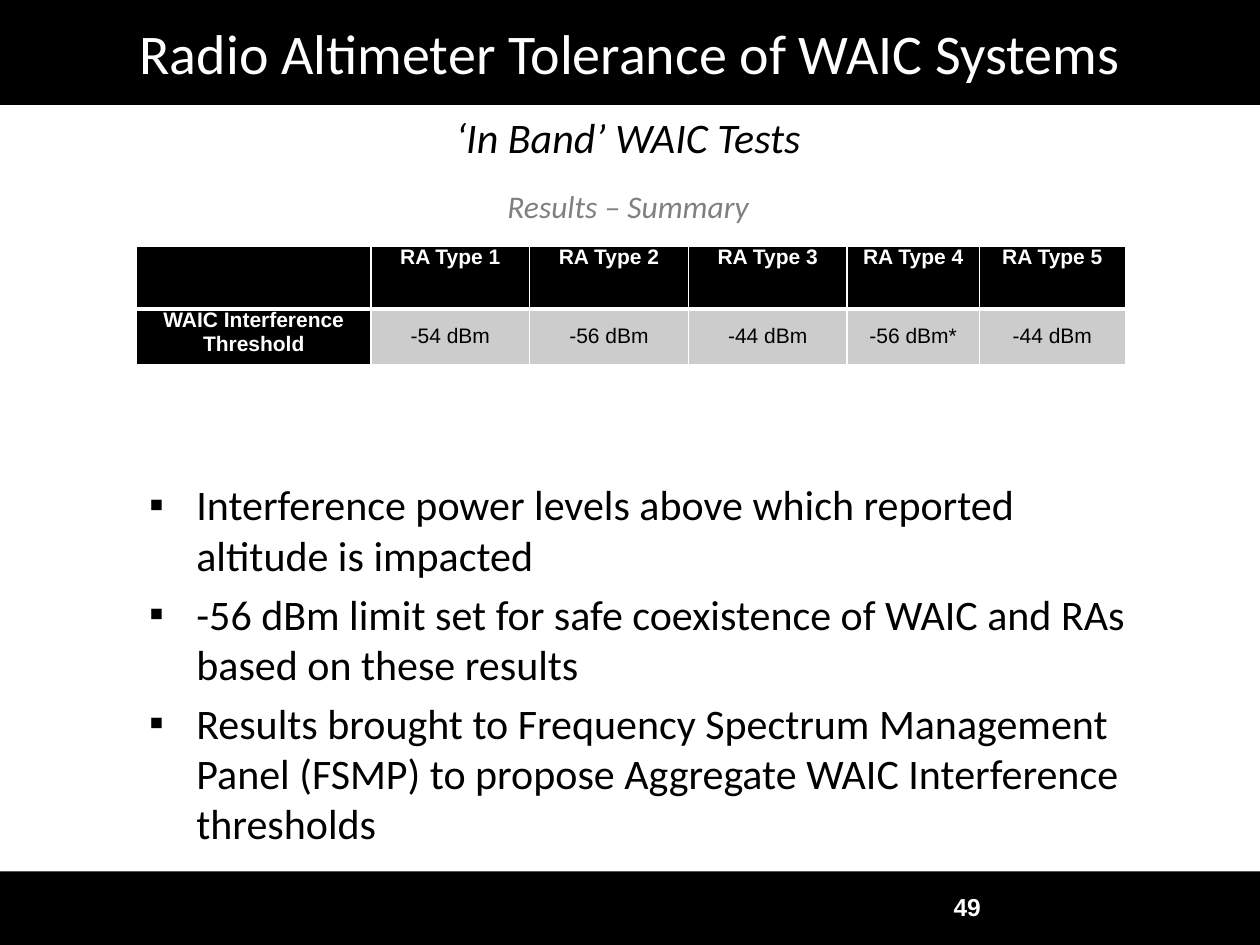
from lxml import etree
from pptx import Presentation
from pptx.dml.color import RGBColor
from pptx.enum.shapes import MSO_SHAPE
from pptx.enum.text import MSO_ANCHOR, MSO_AUTO_SIZE, PP_ALIGN
from pptx.oxml.ns import qn
from pptx.util import Pt

BLACK = RGBColor(0x00, 0x00, 0x00)
WHITE = RGBColor(0xFF, 0xFF, 0xFF)
GRAY = RGBColor(0x80, 0x80, 0x80)
LIGHT_GRAY = RGBColor(0xCC, 0xCC, 0xCC)

CENTER, LEFT, RIGHT = PP_ALIGN.CENTER, PP_ALIGN.LEFT, PP_ALIGN.RIGHT
TOP, MIDDLE = MSO_ANCHOR.TOP, MSO_ANCHOR.MIDDLE
NO_FIT = MSO_AUTO_SIZE.NONE
RECTANGLE = MSO_SHAPE.RECTANGLE

COMPARISON_LAYOUT = 4
PAGE_WIDTH, PAGE_HEIGHT = 720, 540
COLUMN_WIDTHS = [134, 90.7, 90.7, 90.7, 75.6, 83.5]
ROW_HEIGHTS = [36, 31.7]
THRESHOLDS = [
    ["", "RA Type 1", "RA Type 2", "RA Type 3", "RA Type 4", "RA Type 5"],
    ["WAIC Interference Threshold", "-54 dBm", "-56 dBm", "-44 dBm", "-56 dBm*", "-44 dBm"],
]
FINDINGS = [
    "Interference power levels above which reported altitude is impacted",
    "-56 dBm limit set for safe coexistence of WAIC and RAs based on these results",
    "Results brought to Frequency Spectrum Management Panel (FSMP) to propose "
    "Aggregate WAIC Interference thresholds",
]


def place(shape, left, top, width, height):
    shape.left, shape.top = Pt(left), Pt(top)
    shape.width, shape.height = Pt(width), Pt(height)


def add_span(para, text, size, color, font="Calibri", bold=False, italic=False):
    span = para.add_run()
    span.text = text
    span.font.name = font
    span.font.size = Pt(size)
    span.font.bold = bold
    span.font.italic = italic
    span.font.color.rgb = color


def prepare_frame(box, anchor):
    frame = box.text_frame
    frame.word_wrap = True
    frame.auto_size = NO_FIT
    frame.vertical_anchor = anchor
    return frame


def fill_line(box, text, size, color, align=CENTER, space_before=0, **style):
    """Write one vertically centred line of text into a box."""
    para = prepare_frame(box, MIDDLE).paragraphs[0]
    para.alignment = align
    para.space_before = Pt(space_before)
    add_span(para, text, size, color, **style)


def fill_subtitle(box, text, top, height, size, color):
    place(box, -2, top, PAGE_WIDTH + 2, height)
    fill_line(box, text, size, color, space_before=size * 0.2, italic=True)


def set_bullet(para, char, indent):
    properties = para._p.get_or_add_pPr()
    properties.set("marL", str(Pt(indent)))
    properties.set("indent", str(-Pt(indent)))
    etree.SubElement(properties, qn("a:buFont"), typeface="Arial")
    etree.SubElement(properties, qn("a:buChar"), char=char)


def fill_bullets(box, items):
    frame = prepare_frame(box, TOP)
    for index, item in enumerate(items):
        para = frame.paragraphs[0] if index == 0 else frame.add_paragraph()
        para.alignment = LEFT
        para.space_before = Pt(4.8)
        set_bullet(para, "▪", 27)
        add_span(para, item, 24, BLACK)


def set_borders(cell, widths):
    """Draw white borders; widths are for left, right, top and bottom."""
    properties = cell._tc.get_or_add_tcPr()
    for side, width in zip("LRTB", widths):
        line = etree.SubElement(properties, qn(f"a:ln{side}"), w=str(Pt(width)))
        solid = etree.SubElement(line, qn("a:solidFill"))
        etree.SubElement(solid, qn("a:srgbClr"), val=str(WHITE))


def fill_cell(cell, text, row, column):
    heading = row == 0 or column == 0
    set_borders(cell, (1, 1, 1, 3) if row == 0 else (1, 1, 3, 1))
    cell.fill.solid()
    cell.fill.fore_color.rgb = BLACK if heading else LIGHT_GRAY
    cell.margin_left = cell.margin_right = Pt(5.76)
    cell.margin_top = cell.margin_bottom = 0
    cell.vertical_anchor = TOP if heading else MIDDLE
    if text:
        para = cell.text_frame.paragraphs[0]
        para.alignment = CENTER
        add_span(para, text, 12, WHITE if heading else BLACK, "Arial", bold=heading)


def add_threshold_table(page):
    table = page.shapes.add_table(
        len(ROW_HEIGHTS), len(COLUMN_WIDTHS), Pt(78), Pt(140.5),
        Pt(sum(COLUMN_WIDTHS)), Pt(sum(ROW_HEIGHTS))).table
    for column, width in zip(table.columns, COLUMN_WIDTHS):
        column.width = Pt(width)
    for row, height in zip(table.rows, ROW_HEIGHTS):
        row.height = Pt(height)
    for row, texts in enumerate(THRESHOLDS):
        for column, text in enumerate(texts):
            fill_cell(table.cell(row, column), text, row, column)


def add_footer(page, number):
    height = 42
    band = page.shapes.add_shape(
        RECTANGLE, 0, Pt(PAGE_HEIGHT - height), Pt(PAGE_WIDTH), Pt(height))
    band.shadow.inherit = False
    band.fill.solid()
    band.fill.fore_color.rgb = BLACK
    band.line.fill.background()
    box = page.shapes.add_textbox(Pt(399.6), Pt(504), Pt(168), Pt(28.8))
    fill_line(box, number, 14, WHITE, align=RIGHT, font="Arial", bold=True)


def main():
    deck = Presentation()
    deck.slide_width, deck.slide_height = Pt(PAGE_WIDTH), Pt(PAGE_HEIGHT)
    page = deck.slides.add_slide(deck.slide_layouts[COMPARISON_LAYOUT])
    title, subtitle, bullets, caption, unused = page.placeholders
    unused._element.getparent().remove(unused._element)

    place(title, 0, 0, PAGE_WIDTH, 60)
    title.fill.solid()
    title.fill.fore_color.rgb = BLACK
    fill_line(title, "Radio Altimeter Tolerance of WAIC Systems", 32, WHITE)
    fill_subtitle(subtitle, "‘In Band’ WAIC Tests", 60, 36, 24, BLACK)
    fill_subtitle(caption, "Results – Summary", 103, 29, 18, GRAY)
    place(bullets, 78, 270, 588, 204)
    fill_bullets(bullets, FINDINGS)
    add_threshold_table(page)
    add_footer(page, "49")
    deck.save("out.pptx")


if __name__ == "__main__":
    main()
